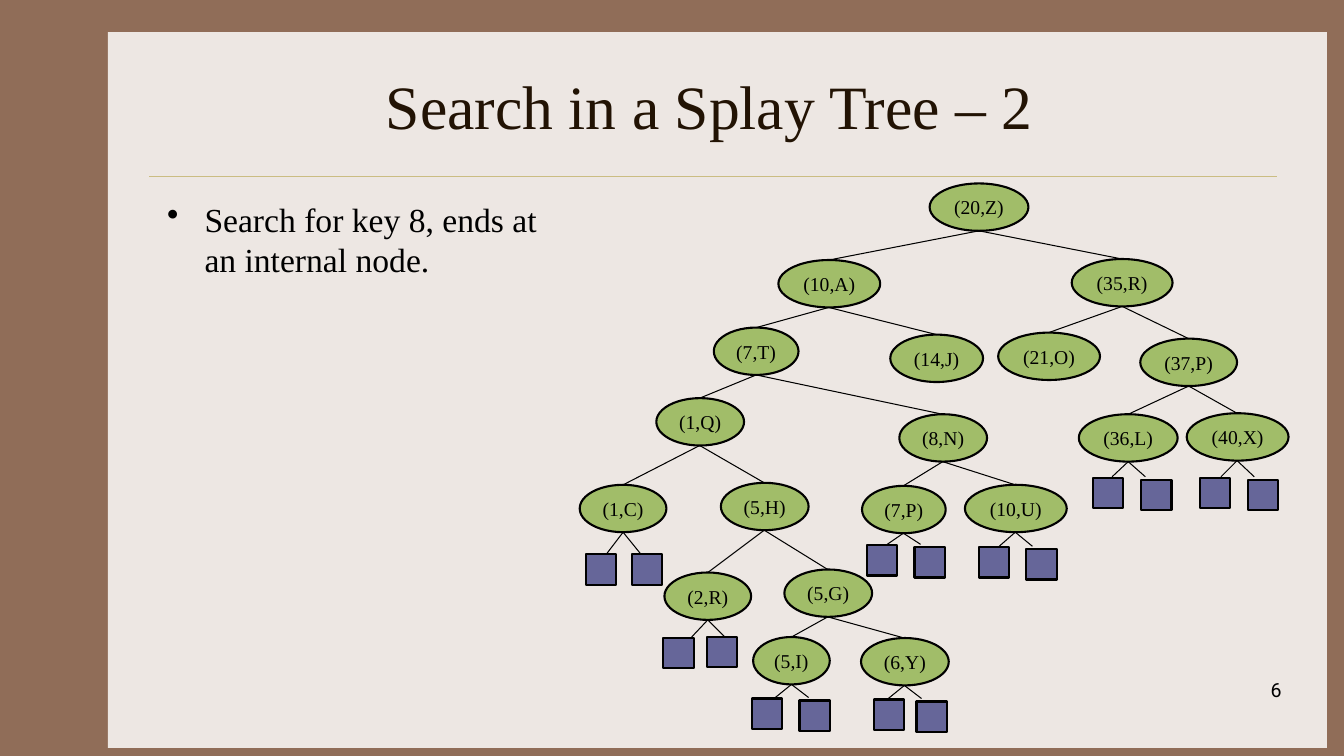
import pptx
import pptx.util
import pptx.dml.color
import pptx.enum.shapes
import pptx.enum.text
import lxml.etree

PX = 9144  # 100 px to the inch
COLORS = {"frame": "906D58", "paper": "EDE7E3", "rule": "CBBD83", "title": "221304",
          "ink": "000000", "node": "A1BD69", "leaf": "666699"}
SERIF = "Times New Roman"
NODE_HEIGHT = 47
LEAF_SIZE = 30
SHAPES = pptx.enum.shapes.MSO_SHAPE
ALIGN = pptx.enum.text.PP_ALIGN
ANCHOR = pptx.enum.text.MSO_ANCHOR

# label: (left, top, width, parent label)
NODES = {
    "(20,Z)": (922, 182, 98, None),
    "(10,A)": (772, 258, 101, "(20,Z)"),
    "(35,R)": (1063, 257, 100, "(20,Z)"),
    "(7,T)": (708, 325, 84, "(10,A)"),
    "(14,J)": (883, 332, 92, "(10,A)"),
    "(21,O)": (990, 330, 101, "(35,R)"),
    "(37,P)": (1131, 336, 96, "(35,R)"),
    "(1,Q)": (651, 395, 87, "(7,T)"),
    "(8,N)": (892, 411, 87, "(7,T)"),
    "(36,L)": (1070, 411, 98, "(37,P)"),
    "(40,X)": (1177, 410, 101, "(37,P)"),
    "(1,C)": (575, 481, 86, "(1,Q)"),
    "(5,H)": (715, 479, 87, "(1,Q)"),
    "(7,P)": (855, 482, 83, "(8,N)"),
    "(10,U)": (957, 481, 101, "(8,N)"),
    "(2,R)": (659, 568, 86, "(5,H)"),
    "(5,G)": (778, 565, 87, "(5,H)"),
    "(5,I)": (747, 632, 76, "(5,G)"),
    "(6,Y)": (854, 633, 87, "(5,G)"),
}
# parent label: left and top of its left and right leaf
LEAVES = {
    "(1,C)": ((581, 550), (627, 550)),
    "(2,R)": ((658, 633), (701, 632)),
    "(5,I)": ((746, 693), (793, 695)),
    "(6,Y)": ((867, 694), (909, 696)),
    "(40,X)": ((1190, 474), (1238, 476)),
    "(36,L)": ((1084, 474), (1132, 476)),
    "(10,U)": ((971, 543), (1018, 545)),
    "(7,P)": ((860, 541), (907, 543)),
}

deck = pptx.Presentation()
deck.slide_width, deck.slide_height = 1333 * PX, 750 * PX
slide = deck.slides.add_slide(deck.slide_layouts[5])
slide.background.fill.solid()
slide.background.fill.fore_color.rgb = pptx.dml.color.RGBColor.from_string(COLORS["frame"])


def add_block(kind, box, fill, outlined=True):
    block = slide.shapes.add_shape(kind, *(length * PX for length in box))
    block.shadow.inherit = False
    block.fill.solid()
    block.fill.fore_color.rgb = pptx.dml.color.RGBColor.from_string(COLORS[fill])
    if outlined:
        block.line.color.rgb = pptx.dml.color.RGBColor.from_string(COLORS["ink"])
        block.line.width = pptx.util.Pt(1.5)
    else:
        block.line.fill.background()
    return block


def write(shape, text, size, align, anchor, font=SERIF, color="ink", wrap=True):
    """Put one formatted run into the shape and return its paragraph."""
    frame = shape.text_frame
    frame.word_wrap = wrap
    frame.auto_size = pptx.enum.text.MSO_AUTO_SIZE.NONE
    frame.vertical_anchor = anchor
    para = frame.paragraphs[0]
    para.alignment = align
    span = para.add_run()
    span.text = text
    span.font.size = pptx.util.Pt(size)
    span.font.name = font
    span.font.color.rgb = pptx.dml.color.RGBColor.from_string(COLORS[color])
    return para


title = slide.shapes.title
title.left, title.top, title.width, title.height = (n * PX for n in (156, 42, 1111, 125))
write(title, "Search in a Splay Tree – 2 ", 44, ALIGN.CENTER, ANCHOR.MIDDLE, color="title")

paper = add_block(SHAPES.RECTANGLE, (107, 32, 1209, 710), "paper", outlined=False)
title._element.addprevious(paper._element)  # the paper lies behind the title

body = slide.shapes.add_textbox(*(n * PX for n in (156, 192, 391, 450)))
para = write(body, "Search for key 8, ends at an internal node.", 24, ALIGN.LEFT, ANCHOR.TOP)
para.space_before = pptx.util.Pt(4.8)
properties = para._p.get_or_add_pPr()
properties.set("marL", str(37 * PX))
properties.set("indent", str(-37 * PX))
bullet = lxml.etree.SubElement(properties, pptx.oxml.ns.qn("a:buChar"))
bullet.set("char", "•")

page_number = slide.shapes.add_textbox(*(n * PX for n in (1003, 668, 278, 50)))
write(page_number, "6", 14, ALIGN.RIGHT, ANCHOR.TOP, font="Roboto")

# Every line: start x, start y, end x, end y, colour, width
lines = [(148, 175, 1267, 175, "rule", 0.25)]
for label, (left, top, width, parent) in NODES.items():
    node = add_block(SHAPES.OVAL, (left, top, width, NODE_HEIGHT), "node")
    write(node, label, 14, ALIGN.CENTER, ANCHOR.MIDDLE, wrap=False)
    center, bottom = left + width // 2, top + NODE_HEIGHT
    if parent:
        parent_left, parent_top, parent_width, _ = NODES[parent]
        lines.append((parent_left + parent_width // 2, parent_top + NODE_HEIGHT,
                      center, top, "ink", 0.75))
    if label in LEAVES:
        fork_end = LEAVES[label][0][1] - 1
        for offset in (-16, 17):
            lines.append((center, bottom, center + offset, fork_end, "ink", 0.75))

for *ends, color, weight in lines:
    edge = slide.shapes.add_connector(pptx.enum.shapes.MSO_CONNECTOR.STRAIGHT,
                                      *(n * PX for n in ends))
    edge.line.color.rgb = pptx.dml.color.RGBColor.from_string(COLORS[color])
    edge.line.width = pptx.util.Pt(weight)
    lxml.etree.SubElement(edge._element.spPr, pptx.oxml.ns.qn("a:effectLst"))

for pair in LEAVES.values():
    for left, top in pair:
        add_block(SHAPES.RECTANGLE, (left, top, LEAF_SIZE, LEAF_SIZE), "leaf")

deck.save("out.pptx")
